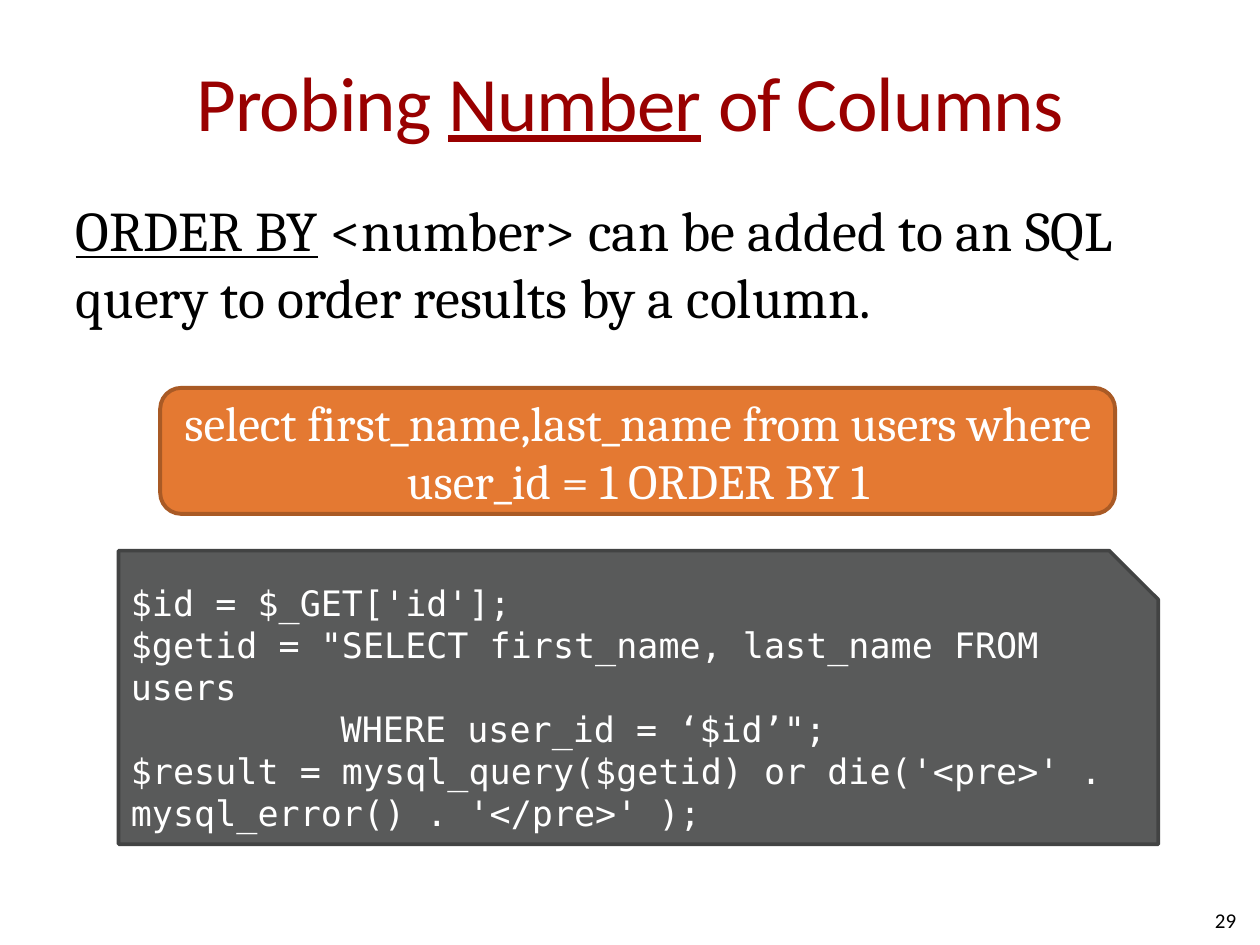
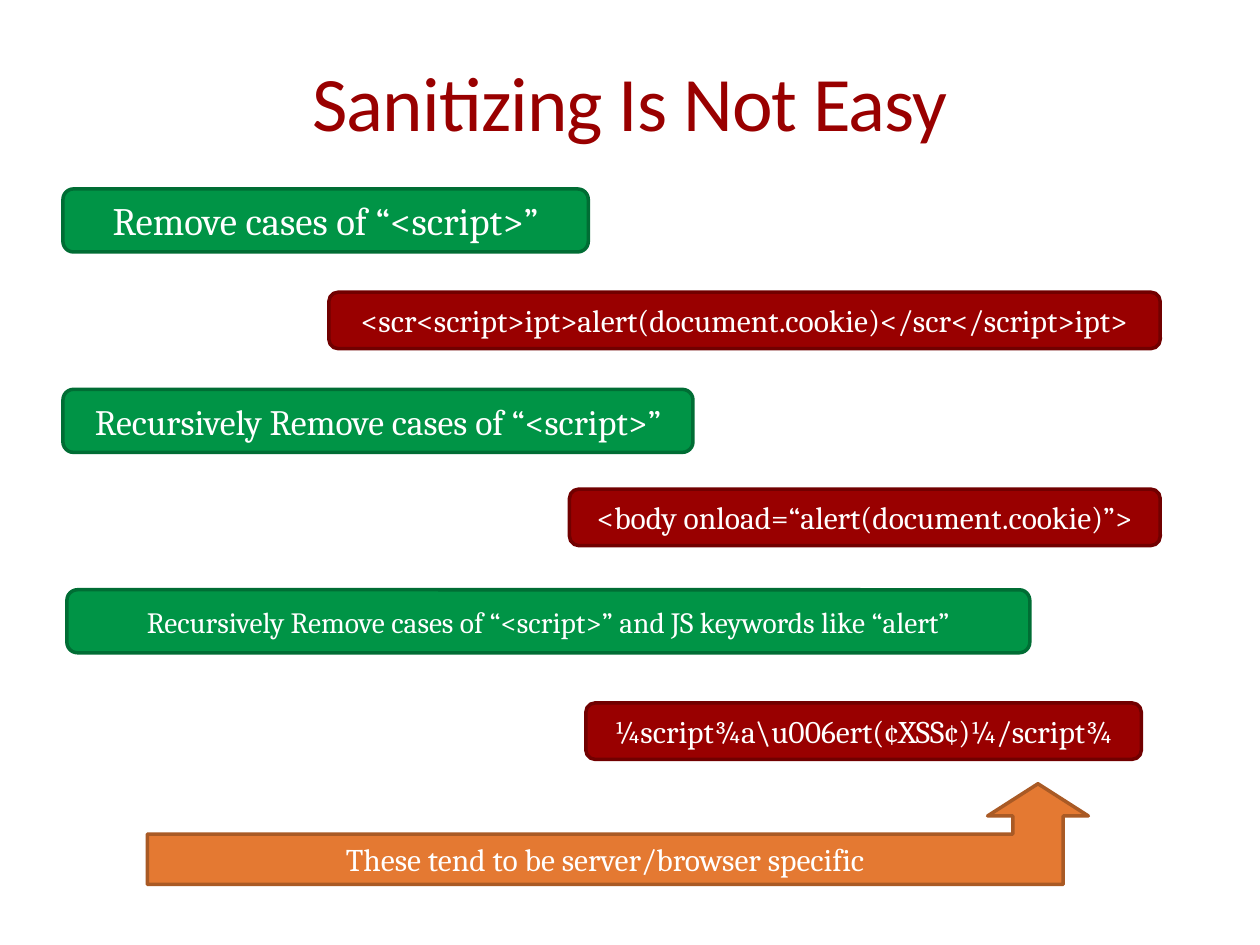
"""Build two slides on SQL column probing and the limits of sanitizing input."""
import dataclasses

import pptx
import pptx.dml.color
import pptx.enum.shapes
import pptx.enum.text
import pptx.oxml
import pptx.util

Cm = pptx.util.Cm
Pt = pptx.util.Pt
SHAPE = pptx.enum.shapes.MSO_SHAPE
ALIGN = pptx.enum.text.PP_ALIGN
ANCHOR = pptx.enum.text.MSO_ANCHOR

PROBING_TITLE = [("Probing ", False), ("Number", True), (" of Columns", False)]
PROBING_BODY = [
    ("ORDER BY", True),
    (" <number> can be added to an SQL query to order results by a column.", False),
]
PROBING_QUERY = "select first_name,last_name from users where user_id = 1 ORDER BY 1"
PROBING_CODE = [
    ("$id = $_GET['id'];", 0),
    ('$getid = "SELECT first_name, last_name FROM users', 0),
    ("WHERE user_id = ‘$id’\";", 4.23),
    ("$result = mysql_query($getid) or die('<pre>' . mysql_error() . '</pre>' );", 0),
]
PAGE_NUMBER = "29"

SANITIZING_TITLE = [("Sanitizing Is Not Easy", False)]
DEFENCES = [
    ("Remove cases of “<script>”", 1.27, 10.59, 22.2),
    ("Recursively Remove cases of “<script>”", 1.27, 12.7, 20.4),
    ("Recursively Remove cases of “<script>” and JS keywords like “alert”", 1.35, 19.41, 16.8),
]
ATTACKS = [
    ("<scr<script>ipt>alert(document.cookie)</scr</script>ipt>", 6.63, 5.89, 16.76),
    ("<body onload=“alert(document.cookie)”>", 11.48, 9.86, 11.91),
    (r"¼script¾a\u006ert(¢XSS¢)¼/script¾", 11.81, 14.17, 11.2),
]
ARROW_NOTE = "These tend to be server/browser specific"


@dataclasses.dataclass(frozen=True)
class Theme:
    """Hold the colours, fonts and type sizes of the deck."""

    title_color: str = "990000"
    ink: str = "000000"
    paper: str = "FFFFFF"
    orange: tuple = ("E47932", "A95A25")
    gray: tuple = ("595A5A", "424343")
    green: tuple = ("009446", "006D34")
    red: tuple = ("990000", "710000")
    heading_font: str = "Calibri"
    text_font: str = "Cambria"
    code_font: str = "DejaVu Sans Mono"
    title_size: float = 44
    body_size: float = 32
    query_size: float = 28
    code_size: float = 20
    note_size: float = 18
    number_size: float = 12


THEME = Theme()


def rgb(color):
    """Turn a hex string into a colour."""
    return pptx.dml.color.RGBColor.from_string(color)


def place(box, left, top, width, height):
    """Move and size a box, in centimetres."""
    box.left, box.top, box.width, box.height = map(Cm, (left, top, width, height))


def format_text(frame, font, size, color, align=None):
    """Format every run of a text frame."""
    for para in frame.paragraphs:
        para.alignment = align
        for span in para.runs:
            span.font.name = font
            span.font.size = Pt(size)
            span.font.color.rgb = rgb(color)


def add_spans(para, spans):
    """Add text spans, each with or without an underline."""
    for text, underlined in spans:
        span = para.add_run()
        span.text = text
        span.font.underline = underlined


def add_page(deck, layout_index, title_spans):
    """Add a page with its formatted title."""
    page = deck.slides.add_slide(deck.slide_layouts[layout_index])
    title = page.shapes.title
    place(title, 1.27, 0.43, 22.86, 3.18)
    frame = title.text_frame
    frame.margin_left = frame.margin_right = 0
    frame.vertical_anchor = ANCHOR.MIDDLE
    add_spans(frame.paragraphs[0], title_spans)
    format_text(frame, THEME.heading_font, THEME.title_size, THEME.title_color, ALIGN.CENTER)
    for span in frame.paragraphs[0].runs:
        span.font._element.set("spc", "-50")
    return page


def add_block(page, preset, bounds, colors, text, size, font=THEME.text_font,
              align=ALIGN.CENTER, anchor=ANCHOR.TOP, wrap=True, line_width=2):
    """Add a filled and outlined shape with light text."""
    box = page.shapes.add_shape(preset, *map(Cm, bounds))
    box.shadow.inherit = False
    fill, line = colors
    box.fill.solid()
    box.fill.fore_color.rgb = rgb(fill)
    box.line.color.rgb = rgb(line)
    box.line.width = Pt(line_width)
    frame = box.text_frame
    frame.word_wrap = wrap
    frame.vertical_anchor = anchor
    frame.text = text
    format_text(frame, font, size, THEME.paper, align)
    return box


def add_probing_page(deck):
    """Add the page on probing the number of columns."""
    page = add_page(deck, 1, PROBING_TITLE)
    body = page.placeholders[1]
    place(body, 1.27, 3.81, 22.86, 13.21)
    frame = body.text_frame
    frame.auto_size = pptx.enum.text.MSO_AUTO_SIZE.NONE
    para = frame.paragraphs[0]
    add_spans(para, PROBING_BODY)
    format_text(frame, THEME.text_font, THEME.body_size, THEME.ink)
    properties = para._p.get_or_add_pPr()
    properties.set("marL", "0")
    properties.set("indent", "0")
    properties.append(pptx.oxml.parse_xml(
        '<a:buNone xmlns:a="http://schemas.openxmlformats.org/drawingml/2006/main"/>'))

    number = page.shapes.add_textbox(Cm(19.25), Cm(18.03), Cm(5.92), Cm(1.02))
    number.text_frame.word_wrap = True
    number.text_frame.vertical_anchor = ANCHOR.MIDDLE
    number.text_frame.text = PAGE_NUMBER
    format_text(number.text_frame, THEME.heading_font, THEME.number_size, THEME.ink, ALIGN.RIGHT)

    add_block(page, SHAPE.ROUNDED_RECTANGLE, (3.23, 7.82, 19.25, 2.54), THEME.orange,
              PROBING_QUERY, THEME.query_size, anchor=ANCHOR.MIDDLE, line_width=2.25)
    code = add_block(page, SHAPE.SNIP_1_RECTANGLE, (2.39, 11.1, 20.96, 5.92), THEME.gray,
                     "\n".join(text for text, _ in PROBING_CODE), THEME.code_size,
                     font=THEME.code_font, align=ALIGN.LEFT)
    for para, (_, indent) in zip(code.text_frame.paragraphs, PROBING_CODE):
        para._p.get_or_add_pPr().set("marL", str(Cm(indent)))


def add_sanitizing_page(deck):
    """Add the page that sets each defence against an attack."""
    page = add_page(deck, 5, SANITIZING_TITLE)
    first_top, step = 3.81, 4.04
    for row, (defence, attack) in enumerate(zip(DEFENCES, ATTACKS)):
        text, left, width, size = defence
        add_block(page, SHAPE.ROUNDED_RECTANGLE, (left, first_top + row * step, width, 1.27),
                  THEME.green, text, size, anchor=ANCHOR.MIDDLE)
        text, left, top, width = attack
        add_block(page, SHAPE.ROUNDED_RECTANGLE, (left, top, width, 1.14),
                  THEME.red, text, THEME.note_size, wrap=False)
    arrow = add_block(page, SHAPE.BENT_UP_ARROW, (2.97, 15.8, 18.97, 2.03),
                      THEME.orange, ARROW_NOTE, THEME.note_size)
    for index, value in enumerate((0.5, 0.5, 0.32)):
        arrow.adjustments[index] = value


def main():
    """Build and save the deck."""
    deck = pptx.Presentation()
    deck.slide_width, deck.slide_height = Cm(25.4), Cm(19.05)
    add_probing_page(deck)
    add_sanitizing_page(deck)
    deck.save("out.pptx")


if __name__ == "__main__":
    main()
